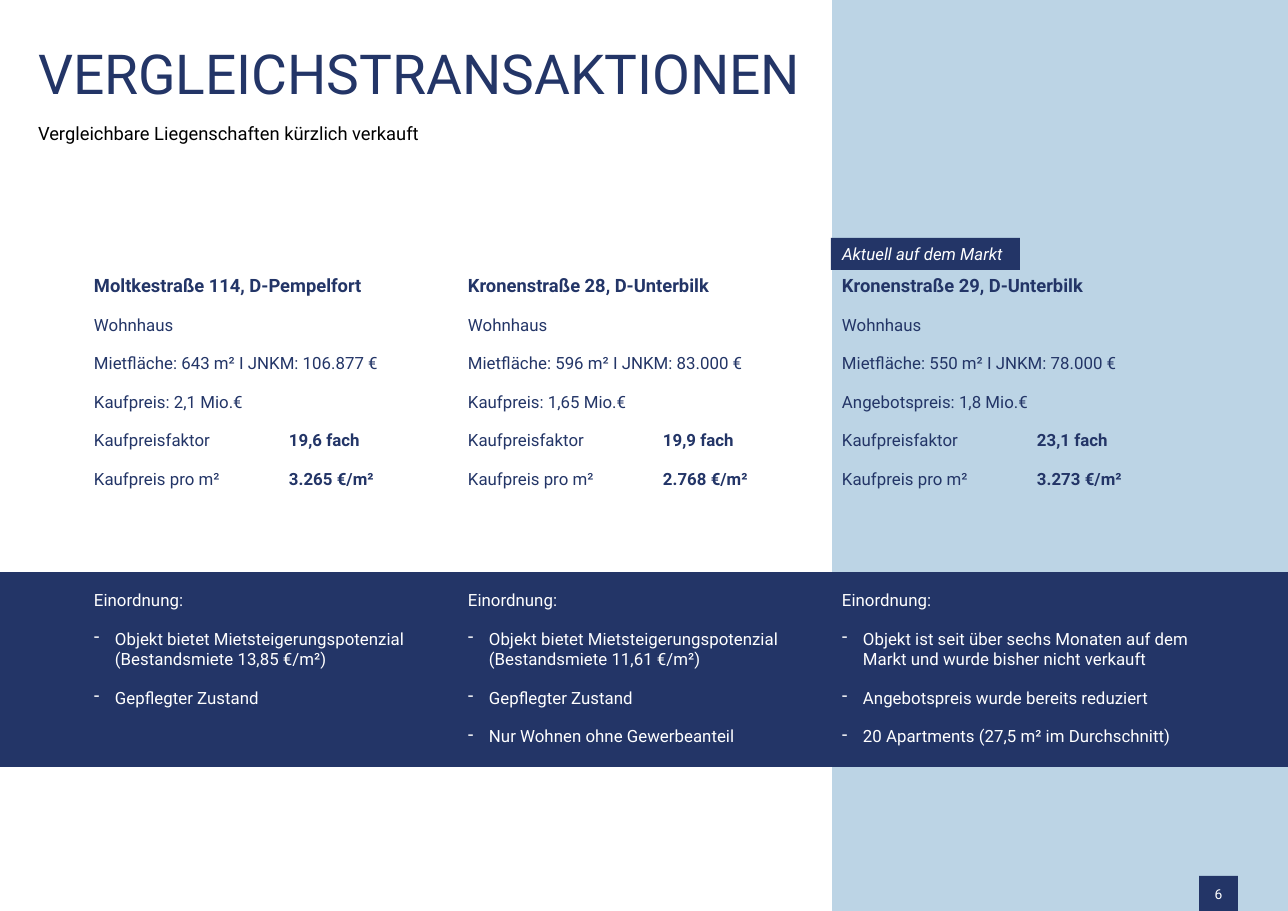
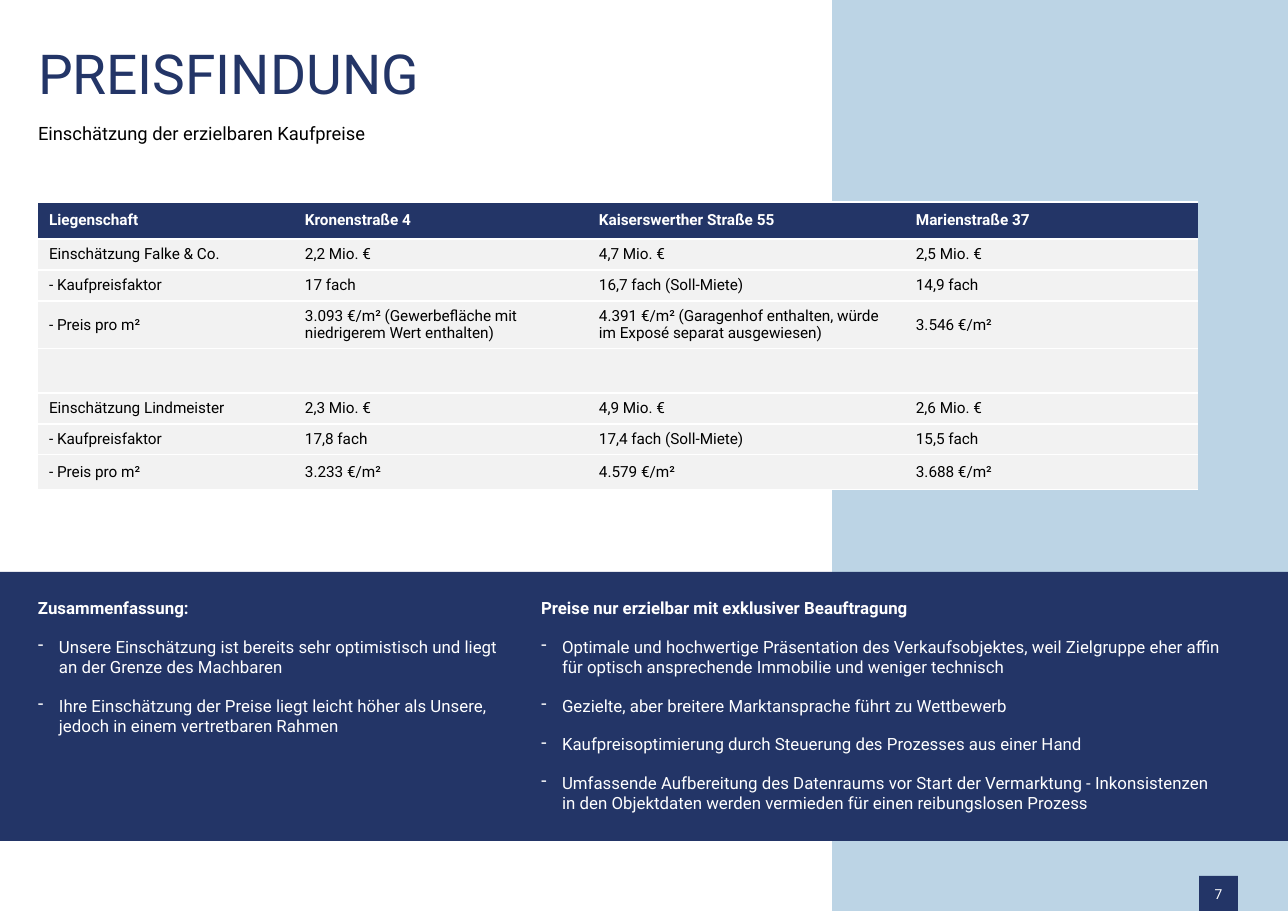
from lxml.etree import SubElement
from pptx import Presentation
from pptx.dml.color import RGBColor
from pptx.enum.shapes import MSO_SHAPE
from pptx.enum.text import MSO_ANCHOR, PP_ALIGN
from pptx.oxml.ns import qn
from pptx.util import Pt

PX = 8298
NAVY = RGBColor(0x23, 0x35, 0x67)
LIGHT_BLUE = RGBColor(0xBC, 0xD4, 0xE5)
GREY = RGBColor(0xF2, 0xF2, 0xF2)
WHITE = RGBColor(0xFF, 0xFF, 0xFF)
BLACK = RGBColor(0x00, 0x00, 0x00)

WIDTH, HEIGHT = 1288, 911
MARGIN = 38
PANEL_LEFT = 832
BAND_TOP = 572
COLUMN_LEFT, COLUMN_PITCH, COLUMN_WIDTH = 94, 374, 362
INDENT = 21
TAB = 195

PROPERTIES = [
    ("Moltkestraße 114, D-Pempelfort", "Mietfläche: 643 m² I JNKM: 106.877 €",
     "Kaufpreis: 2,1 Mio.€", "19,6 fach", "3.265 €/m²"),
    ("Kronenstraße 28, D-Unterbilk", "Mietfläche: 596 m² I JNKM: 83.000 €",
     "Kaufpreis: 1,65 Mio.€", "19,9 fach", "2.768 €/m²"),
    ("Kronenstraße 29, D-Unterbilk", "Mietfläche: 550 m² I JNKM: 78.000 €",
     "Angebotspreis: 1,8 Mio.€", "23,1 fach", "3.273 €/m²"),
]
ASSESSMENTS = [
    ["Objekt bietet Mietsteigerungspotenzial (Bestandsmiete 13,85 €/m²)",
     "Gepflegter Zustand"],
    ["Objekt bietet Mietsteigerungspotenzial (Bestandsmiete 11,61 €/m²)",
     "Gepflegter Zustand",
     "Nur Wohnen ohne Gewerbeanteil"],
    ["Objekt ist seit über sechs Monaten auf dem Markt und wurde bisher nicht verkauft",
     "Angebotspreis wurde bereits reduziert",
     "20 Apartments (27,5 m² im Durchschnitt)"],
]
COLUMN_WIDTHS = [256, 294, 317, 293]
ROW_HEIGHTS = [37, 31, 31, 31, 31, 31, 31, 35]
PRICES = [
    ["Liegenschaft", "Kronenstraße 4", "Kaiserswerther Straße 55", "Marienstraße 37"],
    ["Einschätzung Falke & Co.", "2,2 Mio. €", "4,7 Mio. €", "2,5 Mio. €"],
    ["- Kaufpreisfaktor", "17 fach", "16,7 fach (Soll-Miete)", "14,9 fach"],
    ["- Preis pro m²", "3.093 €/m² (Gewerbefläche mit niedrigerem Wert enthalten)",
     "4.391 €/m² (Garagenhof enthalten, würde im Exposé separat ausgewiesen)",
     "3.546 €/m²"],
    ["", "", "", ""],
    ["Einschätzung Lindmeister", "2,3 Mio. €", "4,9 Mio. €", "2,6 Mio. €"],
    ["- Kaufpreisfaktor", "17,8 fach", "17,4 fach (Soll-Miete)", "15,5 fach"],
    ["- Preis pro m²", "3.233 €/m²", "4.579 €/m²", "3.688 €/m²"],
]
SUMMARY = [
    "Unsere Einschätzung ist bereits sehr optimistisch und liegt an der Grenze des Machbaren",
    "Ihre Einschätzung der Preise liegt leicht höher als Unsere, jedoch in einem "
    "vertretbaren Rahmen",
]
EXCLUSIVE = [
    "Optimale und hochwertige Präsentation des Verkaufsobjektes, weil Zielgruppe eher "
    "affin für optisch ansprechende Immobilie und weniger technisch",
    "Gezielte, aber breitere Marktansprache führt zu Wettbewerb",
    "Kaufpreisoptimierung durch Steuerung des Prozesses aus einer Hand",
    "Umfassende Aufbereitung des Datenraums vor Start der Vermarktung - Inkonsistenzen "
    "in den Objektdaten werden vermieden für einen reibungslosen Prozess",
]


def emu(*lengths):
    return [length * PX for length in lengths]


def set_all(obj, values):
    for name, value in values.items():
        setattr(obj, name, value)


def add_run(p, text, size, color, **fmt):
    r = p.add_run()
    r.text = text
    set_all(r.font, {"name": "Roboto", "size": Pt(size), **fmt})
    r.font.color.rgb = color


def set_frame(tf, margins=(0, 0, 0, 0), anchor=MSO_ANCHOR.TOP):
    sides = ("margin_left", "margin_top", "margin_right", "margin_bottom")
    set_all(tf, {"word_wrap": True, "vertical_anchor": anchor,
                 **dict(zip(sides, emu(*margins)))})


def add_rect(slide, box, color):
    sp = slide.shapes.add_shape(MSO_SHAPE.RECTANGLE, *emu(*box))
    sp.shadow.inherit = False
    sp.fill.solid()
    sp.fill.fore_color.rgb = color
    sp.line.fill.background()
    return sp


def add_label(slide, box, text, size, align, margins, **fmt):
    sp = add_rect(slide, box, NAVY)
    set_frame(sp.text_frame, margins, MSO_ANCHOR.MIDDLE)
    p = sp.text_frame.paragraphs[0]
    p.alignment = align
    add_run(p, text, size, WHITE, **fmt)


def add_text(slide, box):
    tf = slide.shapes.add_textbox(*emu(*box)).text_frame
    set_frame(tf)
    return tf


def add_paragraph(tf, first=False):
    p = tf.paragraphs[0] if first else tf.add_paragraph()
    p.space_after = Pt(12)
    return p


def add_bullet(p):
    pPr = p._p.get_or_add_pPr()
    pPr.set("marL", str(INDENT * PX))
    pPr.set("indent", str(-INDENT * PX))
    color = SubElement(pPr, qn("a:buClr"))
    SubElement(color, qn("a:srgbClr"), val=str(WHITE))
    SubElement(pPr, qn("a:buChar"), char="-")


def add_tab(p):
    tabs = SubElement(p._p.get_or_add_pPr(), qn("a:tabLst"))
    SubElement(tabs, qn("a:tab"), pos=str(TAB * PX), algn="l")


def add_bullet_list(slide, box, heading, items, bold=False):
    tf = add_text(slide, box)
    add_run(add_paragraph(tf, True), heading, 11, WHITE, bold=bold)
    for item in items:
        p = add_paragraph(tf)
        add_bullet(p)
        add_run(p, item, 11, WHITE)


def add_property(slide, box, address, area, price, factor, price_per_area):
    tf = add_text(slide, box)
    add_run(add_paragraph(tf, True), address, 12, NAVY, bold=True)
    for line in ("Wohnhaus", area, price):
        add_run(add_paragraph(tf), line, 11, NAVY)
    for label, value in (("Kaufpreisfaktor", factor), ("Kaufpreis pro m²", price_per_area)):
        p = add_paragraph(tf)
        add_tab(p)
        add_run(p, label + "\t", 11, NAVY)
        add_run(p, value, 11, NAVY, bold=True)


def set_borders(cell):
    tcPr = cell._tc.get_or_add_tcPr()
    for side in ("L", "R"):
        SubElement(SubElement(tcPr, qn(f"a:ln{side}"), w="0"), qn("a:noFill"))
    for side in ("T", "B"):
        ln = SubElement(tcPr, qn(f"a:ln{side}"), w=str(Pt(1)))
        SubElement(SubElement(ln, qn("a:solidFill")), qn("a:srgbClr"), val=str(WHITE))


def add_price_table(slide):
    box = (MARGIN, 202, sum(COLUMN_WIDTHS), sum(ROW_HEIGHTS))
    table = slide.shapes.add_table(len(PRICES), len(COLUMN_WIDTHS), *emu(*box)).table
    table.horz_banding = False
    for column, width in zip(table.columns, COLUMN_WIDTHS):
        column.width = width * PX
    for i, (row, height) in enumerate(zip(table.rows, ROW_HEIGHTS)):
        row.height = height * PX
        header = i == 0
        for cell, text in zip(row.cells, PRICES[i]):
            set_borders(cell)
            cell.fill.solid()
            cell.fill.fore_color.rgb = NAVY if header else GREY
            set_frame(cell.text_frame, (11, 4, 8, 0))
            cell.vertical_anchor = MSO_ANCHOR.MIDDLE
            add_run(cell.text_frame.paragraphs[0], text, 10,
                    WHITE if header else BLACK, bold=header)


def add_slide(prs, title, subtitle, number, band_height):
    slide = prs.slides.add_slide(prs.slide_layouts[5])
    heading = slide.shapes.title
    set_all(heading, dict(zip(("left", "top", "width", "height"), emu(MARGIN, 47, 951, 77))))
    panel = add_rect(slide, (PANEL_LEFT, 0, WIDTH - PANEL_LEFT, HEIGHT), LIGHT_BLUE)
    heading.element.addprevious(panel.element)
    set_frame(heading.text_frame)
    lead = add_text(slide, (MARGIN, 125, 951, 33))
    for tf, text, size, color in ((heading.text_frame, title, 36, NAVY),
                                  (lead, subtitle, 12, BLACK)):
        p = tf.paragraphs[0]
        set_all(p, {"alignment": PP_ALIGN.LEFT, "line_spacing": 0.9})
        add_run(p, text, size, color)
    add_label(slide, (1199, 876, 39, 36), str(number), 9, PP_ALIGN.CENTER, (7, 10, 7, 10))
    add_rect(slide, (0, BAND_TOP, WIDTH, band_height), NAVY)
    return slide


def build_transactions(prs):
    slide = add_slide(prs, "VERGLEICHSTRANSAKTIONEN",
                      "Vergleichbare Liegenschaften kürzlich verkauft", 6, 195)
    for i, (facts, items) in enumerate(zip(PROPERTIES, ASSESSMENTS)):
        left = COLUMN_LEFT + i * COLUMN_PITCH
        add_property(slide, (left, 274, COLUMN_WIDTH, 217), *facts)
        add_bullet_list(slide, (left, 590, COLUMN_WIDTH, 160), "Einordnung:", items)
    add_label(slide, (831, 238, 189, 32), "Aktuell auf dem Markt", 11,
              PP_ALIGN.LEFT, (11, 6, 11, 6), italic=True)


def build_pricing(prs):
    slide = add_slide(prs, "PREISFINDUNG", "Einschätzung der erzielbaren Kaufpreise", 7, 269)
    add_price_table(slide)
    add_bullet_list(slide, (MARGIN, 598, 465, 179), "Zusammenfassung:", SUMMARY, True)
    add_bullet_list(slide, (541, 598, 685, 230),
                    "Preise nur erzielbar mit exklusiver Beauftragung", EXCLUSIVE, True)


def main():
    prs = Presentation()
    prs.slide_width, prs.slide_height = emu(WIDTH, HEIGHT)
    build_transactions(prs)
    build_pricing(prs)
    prs.save("out.pptx")


if __name__ == "__main__":
    main()
